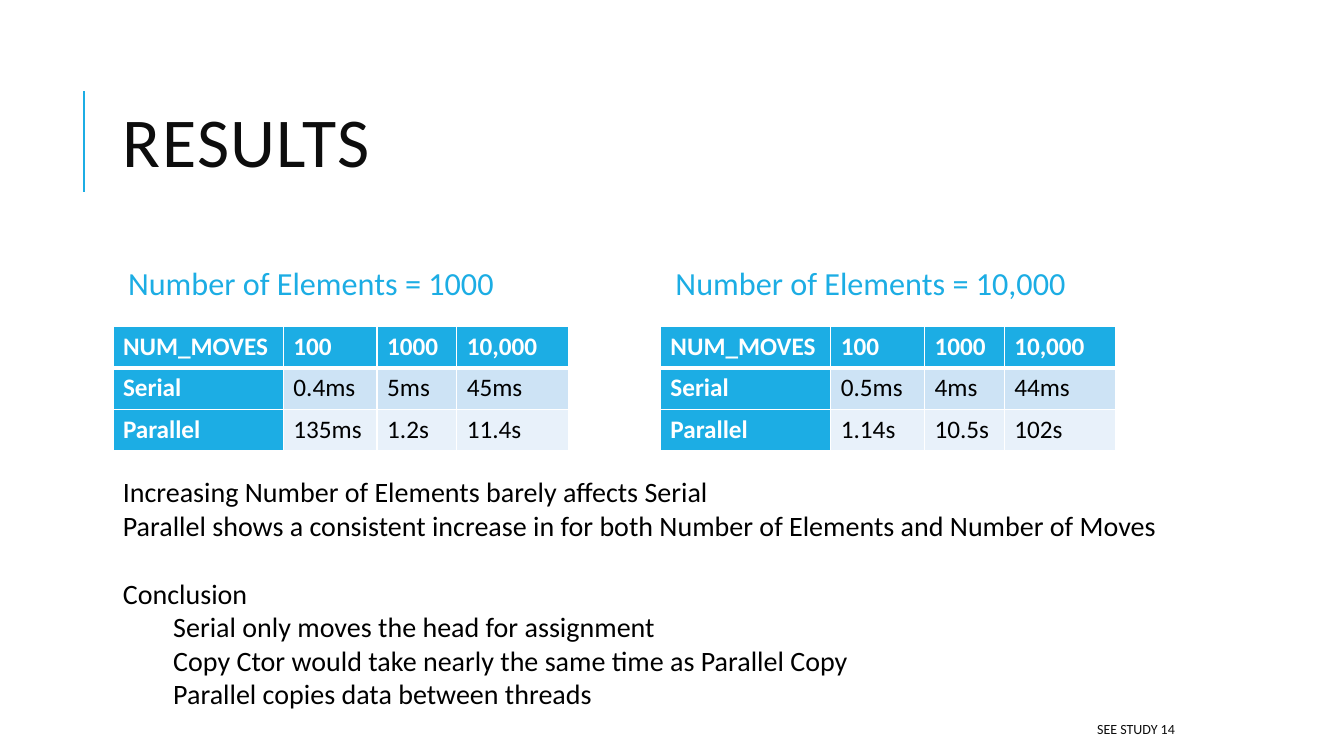
from dataclasses import dataclass

from lxml import etree
from pptx import Presentation
from pptx.dml.color import RGBColor
from pptx.enum.shapes import MSO_CONNECTOR
from pptx.enum.text import MSO_ANCHOR, PP_ALIGN
from pptx.oxml.ns import qn
from pptx.slide import Slide
from pptx.table import _Cell
from pptx.text.text import TextFrame, _Paragraph
from pptx.util import Inches, Pt

STRAIGHT = MSO_CONNECTOR.STRAIGHT
TOP, MIDDLE = MSO_ANCHOR.TOP, MSO_ANCHOR.MIDDLE
LEFT, RIGHT = PP_ALIGN.LEFT, PP_ALIGN.RIGHT

BLUE = RGBColor(0x1C, 0xAD, 0xE4)
INK = RGBColor(0x0D, 0x0D, 0x0D)
BLACK = RGBColor(0, 0, 0)
WHITE = RGBColor(0xFF, 0xFF, 0xFF)
BANDS = (RGBColor(0xCD, 0xE3, 0xF5), RGBColor(0xE8, 0xF1, 0xFA))

FONT = "Calibri"
MARGIN = 1.12
WIDTH = 10.63
COLS = (1.69, 0.93, 0.79, 1.11)
ROW = 0.41
HEADER = ("NUM_MOVES", "100", "1000", "10,000")


@dataclass
class Trial:
    """Timings for one number of elements."""
    left: float
    title: str
    serial: tuple[str, ...]
    parallel: tuple[str, ...]


@dataclass
class Note:
    """One line of the findings."""
    text: str
    indent: float = 0
    before: float = 0


TRIALS = (
    Trial(MARGIN, "Number of Elements = 1000",
          ("0.4ms", "5ms", "45ms"), ("135ms", "1.2s", "11.4s")),
    Trial(6.55, "Number of Elements = 10,000",
          ("0.5ms", "4ms", "44ms"), ("1.14s", "10.5s", "102s")),
)
NOTES = (
    Note("Increasing Number of Elements barely affects Serial"),
    Note("Parallel shows a consistent increase in for both "
         "Number of Elements and Number of Moves"),
    Note("Conclusion", before=24.4),
    Note("Serial only moves the head for assignment", 0.5),
    Note("Copy Ctor would take nearly the same time as Parallel Copy", 0.5),
    Note("Parallel copies data between threads", 0.5),
)


def style(para: _Paragraph, size: float, color: RGBColor,
          bold: bool = False) -> None:
    """Format every run of a paragraph."""
    for run in para.runs:
        run.font.name = FONT
        run.font.size = Pt(size)
        run.font.bold = bold
        run.font.color.rgb = color


def add_text(slide: Slide, box: tuple[float, ...], text: str, size: float,
             color: RGBColor, anchor: MSO_ANCHOR = MIDDLE,
             align: PP_ALIGN = LEFT, spacing: float = 1) -> TextFrame:
    """Add a wrapped text box with one style."""
    frame = slide.shapes.add_textbox(*map(Inches, box)).text_frame
    frame.word_wrap = True
    frame.vertical_anchor = anchor
    frame.text = text
    for para in frame.paragraphs:
        para.alignment = align
        para.line_spacing = spacing
        style(para, size, color)
    return frame


def add_border(cell: _Cell, side: str, width: float) -> None:
    """Draw one white cell border."""
    props = cell._tc.get_or_add_tcPr()
    line = etree.SubElement(props, qn(f"a:ln{side}"), w=str(Pt(width)))
    fill = etree.SubElement(line, qn("a:solidFill"))
    etree.SubElement(fill, qn("a:srgbClr"), val=str(WHITE))


def add_rule(slide: Slide) -> None:
    """Draw the upright line beside the title."""
    rule = slide.shapes.add_connector(
        STRAIGHT, Inches(0.83), Inches(1.9), Inches(0.83), Inches(0.9))
    rule.line.color.rgb = BLUE
    rule.line.width = Pt(1.5)
    etree.SubElement(rule._element.spPr, qn("a:effectLst"))


def add_trial(slide: Slide, trial: Trial) -> None:
    """Add the heading and the table of a trial."""
    head = add_text(slide, (trial.left, 2.38, 5.2, 0.9), trial.title, 23,
                    BLUE, spacing=0.9)
    head.margin_left = head.margin_right = Inches(0.15)

    rows = (HEADER, ("Serial", *trial.serial), ("Parallel", *trial.parallel))
    table = slide.shapes.add_table(
        len(rows), len(COLS), Inches(trial.left), Inches(3.24),
        Inches(sum(COLS)), Inches(ROW * len(rows))).table
    table.first_col = True
    for col, width in zip(table.columns, COLS):
        col.width = Inches(width)
    for r, row in enumerate(rows):
        table.rows[r].height = Inches(ROW)
        for c, text in enumerate(row):
            cell = table.cell(r, c)
            label = r == 0 or c == 0
            widths = {"L": 1, "R": 1, "T": 3 if r == 1 else 1,
                      "B": 3 if r == 0 else 1}
            for side, width in widths.items():
                add_border(cell, side, width)
            cell.fill.solid()
            cell.fill.fore_color.rgb = BLUE if label else BANDS[r - 1]
            cell.text_frame.text = text
            style(cell.text_frame.paragraphs[0], 18,
                  WHITE if label else BLACK, label)


def add_notes(slide: Slide) -> None:
    """Add the findings below the tables."""
    text = "\n".join(note.text for note in NOTES)
    frame = add_text(slide, (MARGIN, 4.66, WIDTH, 2.46), text, 20, BLACK, TOP)
    for para, note in zip(frame.paragraphs, NOTES):
        para.space_before = Pt(note.before)
        para._p.get_or_add_pPr().set("marL", str(Inches(note.indent)))


def main() -> None:
    """Build and save the slide."""
    deck = Presentation()
    deck.slide_width, deck.slide_height = Inches(13.33), Inches(7.5)
    slide = deck.slides.add_slide(deck.slide_layouts[6])
    add_rule(slide)
    title = add_text(slide, (MARGIN, 0.64, WIDTH, 1.64), "RESULTS", 50, INK,
                     spacing=0.8)
    title.paragraphs[0].runs[0].font._element.set("spc", "100")
    for trial in TRIALS:
        add_trial(slide, trial)
    add_text(slide, (5.3, 7.08, 6.45, 0.3), "SEE STUDY 14", 10, INK,
             align=RIGHT)
    add_notes(slide)
    deck.save("out.pptx")


main()
